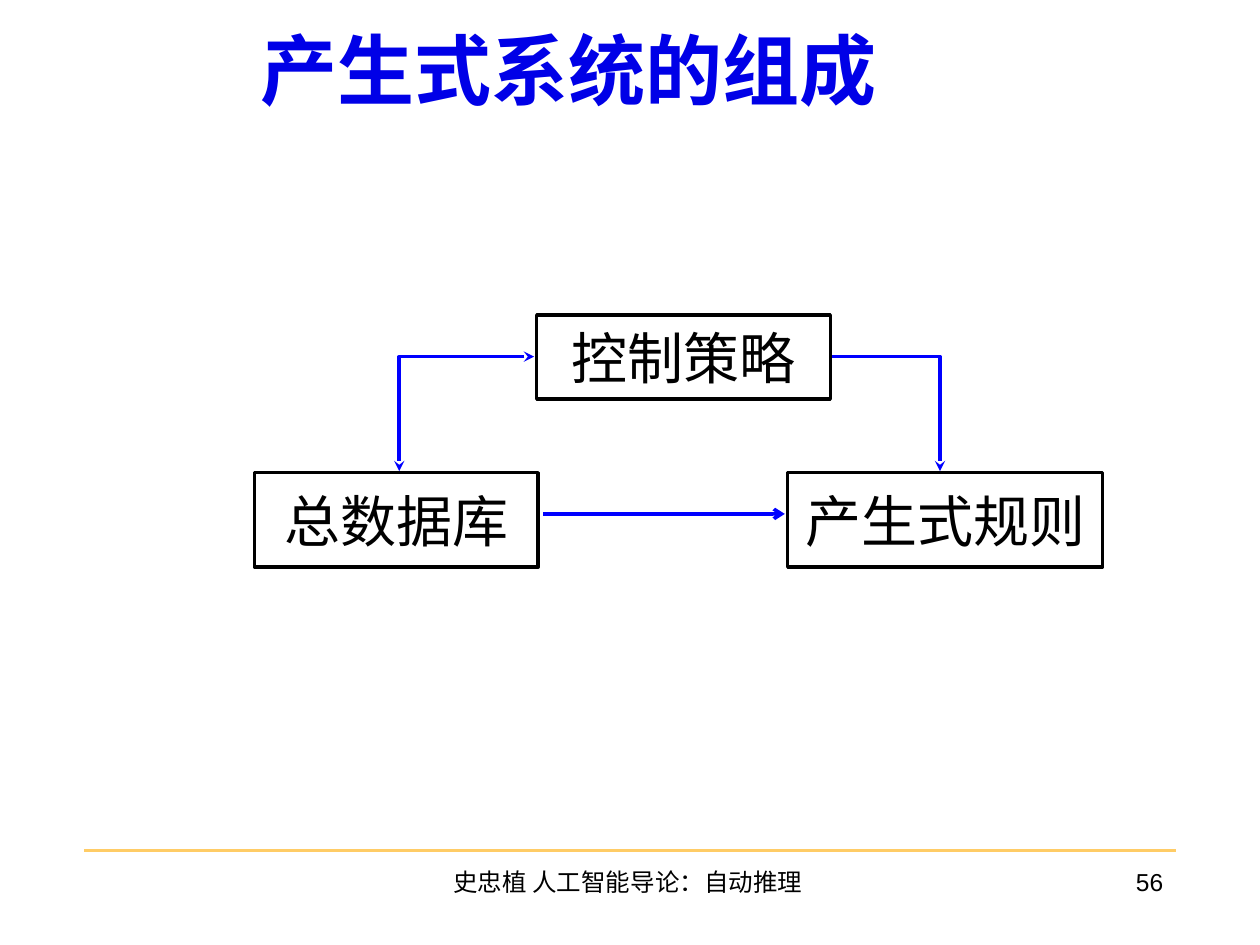
"""Build the slide on the parts of a production system."""
from dataclasses import dataclass
from typing import Any, Optional

from lxml import etree
from pptx import Presentation
from pptx.dml.color import RGBColor
from pptx.enum import shapes, text
from pptx.oxml import ns
from pptx.util import Cm, Pt

BLACK = RGBColor(0x00, 0x00, 0x00)
BLUE = RGBColor(0x00, 0x00, 0xFF)
TITLE_BLUE = RGBColor(0x00, 0x00, 0xE7)
GOLD = RGBColor(0xFF, 0xCC, 0x66)
CJK_FONT = "Noto Sans CJK SC"
LATIN_FONT = "Arial"
CENTER, RIGHT = text.PP_ALIGN.CENTER, text.PP_ALIGN.RIGHT
TOP, MIDDLE = text.MSO_ANCHOR.TOP, text.MSO_ANCHOR.MIDDLE


@dataclass(frozen=True)
class Component:
    label: str
    left: float
    top: float
    width: float
    height: float


@dataclass(frozen=True)
class Link:
    start: tuple[float, float]
    end: tuple[float, float]
    color: RGBColor = BLUE
    weight: float = 2
    bent: bool = False
    head: Optional[str] = None
    tail: Optional[str] = None


@dataclass(frozen=True)
class Caption:
    wording: str
    left: float
    width: float
    alignment: Any


COMPONENTS = (
    Component("控制策略", 10.82, 6.35, 5.92, 1.7),
    Component("总数据库", 5.13, 9.53, 5.72, 1.9),
    Component("产生式规则", 15.88, 9.53, 6.35, 1.9),
)
LINKS = (
    Link((1.7, 17.15), (23.7, 17.15), GOLD, 1.5),
    Link((10.95, 10.36), (15.82, 10.36), tail="arrow"),
    Link((16.76, 7.19), (18.95, 9.5), bent=True, tail="stealth"),
    Link((10.77, 7.19), (8.05, 9.5), bent=True, head="stealth", tail="stealth"),
)
CAPTIONS = (
    Caption("56", 18.42, 5.28, RIGHT),
    Caption("史忠植 人工智能导论：自动推理 ", 8.69, 8.05, CENTER),
)


def apply(target: Any, formats: dict[str, Any]) -> None:
    for name, value in formats.items():
        setattr(target, name, value)


def write(shape: Any, wording: str, size: float, alignment: Any = CENTER,
          anchor: Any = MIDDLE, wrap: bool = True, bold: bool = False,
          color: RGBColor = BLACK, latin: str = LATIN_FONT) -> None:
    frame = shape.text_frame
    apply(frame, {
        "text": wording, "word_wrap": wrap, "vertical_anchor": anchor,
        "auto_size": text.MSO_AUTO_SIZE.NONE,
    })
    paragraph = frame.paragraphs[0]
    paragraph.alignment = alignment
    run = paragraph.runs[0]
    apply(run.font, {"size": Pt(size), "bold": bold, "name": latin})
    run.font.color.rgb = color
    east_asian = etree.SubElement(run.font._element, ns.qn("a:ea"))
    east_asian.set("typeface", CJK_FONT)


def draw_component(slide: Any, part: Component) -> None:
    box = slide.shapes.add_shape(
        shapes.MSO_SHAPE.RECTANGLE,
        Cm(part.left), Cm(part.top), Cm(part.width), Cm(part.height))
    box.shadow.inherit = False
    box.fill.background()
    box.line.color.rgb = BLACK
    box.line.width = Pt(2)
    write(box, part.label, 32, wrap=False)


def draw_link(slide: Any, link: Link) -> None:
    kind = shapes.MSO_CONNECTOR.ELBOW if link.bent else shapes.MSO_CONNECTOR.STRAIGHT
    connector = slide.shapes.add_connector(
        kind, *(Cm(value) for value in link.start + link.end))
    connector.line.color.rgb = link.color
    connector.line.width = Pt(link.weight)
    properties = connector._element.spPr
    if link.bent:
        properties.find(ns.qn("a:prstGeom")).set("prst", "bentConnector2")
    for tag, arrow in (("a:headEnd", link.head), ("a:tailEnd", link.tail)):
        if arrow:
            etree.SubElement(properties.find(ns.qn("a:ln")), ns.qn(tag)).set("type", arrow)
    etree.SubElement(properties, ns.qn("a:effectLst"))


def draw_caption(slide: Any, caption: Caption) -> None:
    box = slide.shapes.add_textbox(
        Cm(caption.left), Cm(17.35), Cm(caption.width), Cm(1.27))
    write(box, caption.wording, 14, caption.alignment, TOP)


def main() -> None:
    deck = Presentation()
    apply(deck, {"slide_width": Cm(25.4), "slide_height": Cm(19.05)})
    slide = deck.slides.add_slide(deck.slide_layouts[5])
    heading = slide.shapes.title
    apply(heading, {"left": Cm(1.3), "top": Cm(0.33),
                    "width": Cm(20.32), "height": Cm(2.11)})
    write(heading, "产生式系统的组成", 44, bold=True, color=TITLE_BLUE, latin=CJK_FONT)
    for link in LINKS:
        draw_link(slide, link)
    for part in COMPONENTS:
        draw_component(slide, part)
    for caption in CAPTIONS:
        draw_caption(slide, caption)
    deck.save("out.pptx")


if __name__ == "__main__":
    main()
